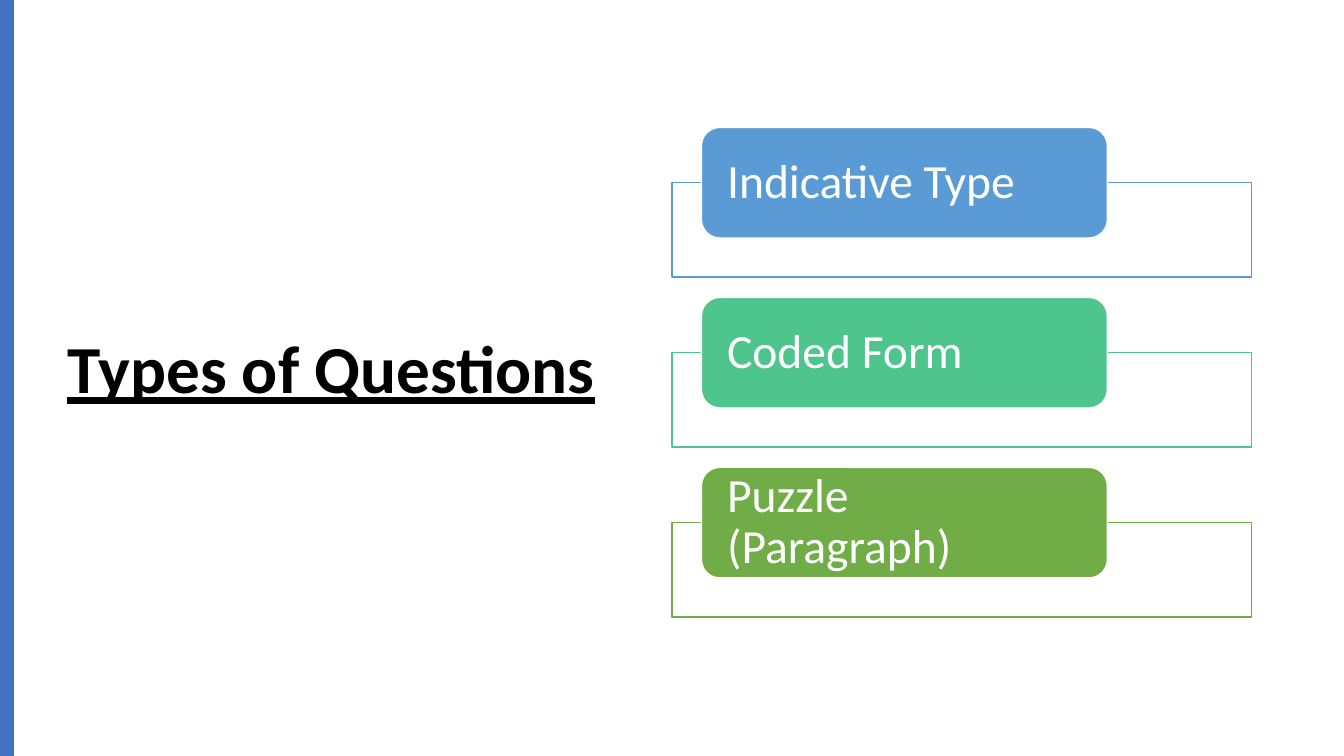
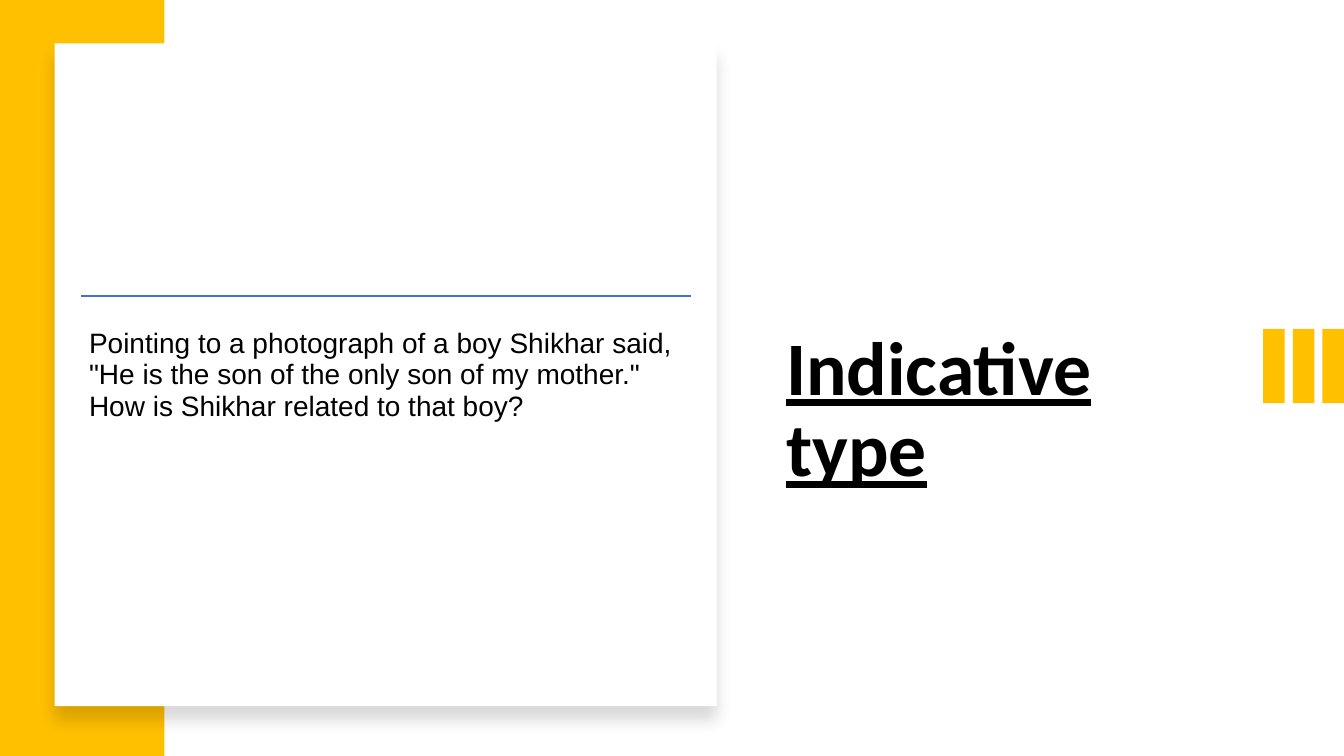
from dataclasses import dataclass

from lxml import etree
from pptx import Presentation
from pptx.dml.color import RGBColor
from pptx.enum.shapes import MSO_SHAPE
from pptx.enum.text import MSO_ANCHOR
from pptx.oxml import parse_xml
from pptx.oxml.ns import nsdecls, qn
from pptx.util import Pt


@dataclass(frozen=True)
class Theme:
    """Colours, fonts and type sizes of the deck."""
    black: str = "000000"
    white: str = "FFFFFF"
    blue: str = "4472C4"
    sky: str = "5B9BD5"
    mint: str = "4DC58D"
    green: str = "70AD47"
    gold: str = "FFC000"
    heading_font: str = "Calibri"
    body_font: str = "Arial"
    title_size: int = 48
    large_title_size: int = 54
    label_size: int = 34
    body_size: int = 20


theme = Theme()
WIDTH, HEIGHT = 960, 540


def add_box(slide, bounds, fill, line=None, kind=MSO_SHAPE.RECTANGLE):
    """Add a filled shape with an optional 1 pt outline and no shadow."""
    shape = slide.shapes.add_shape(kind, *[Pt(v) for v in bounds])
    shape.shadow.inherit = False
    shape.fill.solid()
    shape.fill.fore_color.rgb = RGBColor.from_string(fill)
    if line:
        shape.line.color.rgb = RGBColor.from_string(line)
        shape.line.width = Pt(1)
    else:
        shape.line.fill.background()
    return shape


def write(frame, text, size, color, font=theme.heading_font, spacing=0.9, title=False):
    """Write one wrapped paragraph; titles are bold and underlined."""
    frame.word_wrap = True
    paragraph = frame.paragraphs[0]
    paragraph.alignment = 1
    paragraph.line_spacing = spacing
    run = paragraph.add_run()
    run.text = text
    run.font.name = font
    run.font.size = Pt(size)
    run.font.color.rgb = RGBColor.from_string(color)
    run.font.bold = run.font.underline = title


prs = Presentation()
prs.slide_width, prs.slide_height = Pt(WIDTH), Pt(HEIGHT)
blank = prs.slide_layouts[6]

# Slide 1: types of questions
slide = prs.slides.add_slide(blank)
title = slide.shapes.add_textbox(Pt(41), Pt(49), Pt(408), Pt(433.5)).text_frame
title.vertical_anchor = MSO_ANCHOR.MIDDLE
write(title, "Types of Questions", theme.title_size, theme.black, title=True)
add_box(slide, (0, 0, 10, HEIGHT), theme.blue)

question_types = [
    ("Indicative Type", theme.sky),
    ("Coded Form", theme.mint),
    ("Puzzle (Paragraph)", theme.green),
]
label_height, pitch = 79, 121.4
for row, (name, color) in enumerate(question_types):
    top = 91 + row * pitch
    panel = add_box(slide, (480, top + label_height / 2, 414, 67.5), theme.white, color)
    fill_color = panel.fill._xPr.find(qn("a:solidFill"))[0]
    etree.SubElement(fill_color, qn("a:alpha"), val="90000")
    label = add_box(slide, (501, top, 290, label_height), color, theme.white,
                    MSO_SHAPE.ROUNDED_RECTANGLE)
    frame = label.text_frame
    frame.margin_left = frame.margin_right = Pt(14.5)
    frame.margin_top = frame.margin_bottom = 0
    frame.vertical_anchor = MSO_ANCHOR.MIDDLE
    write(frame, name, theme.label_size, theme.white)

# Slide 2: indicative type
slide = prs.slides.add_slide(blank)
title = slide.shapes.add_textbox(Pt(554.5), Pt(232), Pt(317.5), Pt(188)).text_frame
write(title, "Indicative type", theme.large_title_size, theme.black, title=True)
add_box(slide, (0, 0, 117.5, HEIGHT), theme.gold)

card = add_box(slide, (39, 31, 473, 473.5), theme.white)
effects = card._element.spPr.find(qn("a:effectLst"))
effects.append(parse_xml(
    f'<a:outerShdw {nsdecls("a")} blurRad="{Pt(11)}" dist="{Pt(10)}" dir="5400000" '
    f'algn="t" rotWithShape="0"><a:srgbClr val="{theme.black}">'
    '<a:alpha val="15000"/></a:srgbClr></a:outerShdw>'))

bar_width, bar_pitch = 15.4, 21.2
for bar in range(3):
    left = WIDTH - bar_width - bar * bar_pitch
    add_box(slide, (left, 235, bar_width, 53), theme.gold)

table = slide.shapes.add_table(1, 1, Pt(57.8), Pt(211.5), Pt(435.6), Pt(111.6)).table
table.first_row = table.horz_banding = False
cell = table.cell(0, 0)
cell.margin_left = cell.margin_right = Pt(5.8)
cell.margin_top, cell.margin_bottom = Pt(23), Pt(11.5)
write(cell.text_frame,
      'Pointing to a photograph of a boy Shikhar said, "He is the son of the only son '
      'of my mother." How is Shikhar related to that boy?',
      theme.body_size, theme.black, theme.body_font, spacing=1.0)
cell_properties = cell._tc.get_or_add_tcPr()
for side in ("lnL", "lnR", "lnT", "lnB"):
    paint = "<a:noFill/>"
    if side == "lnT":
        paint = f'<a:solidFill><a:srgbClr val="{theme.blue}"/></a:solidFill>'
    cell_properties.append(parse_xml(
        f'<a:{side} {nsdecls("a")} w="{Pt(1)}">{paint}</a:{side}>'))
cell.fill.background()

prs.save("out.pptx")
